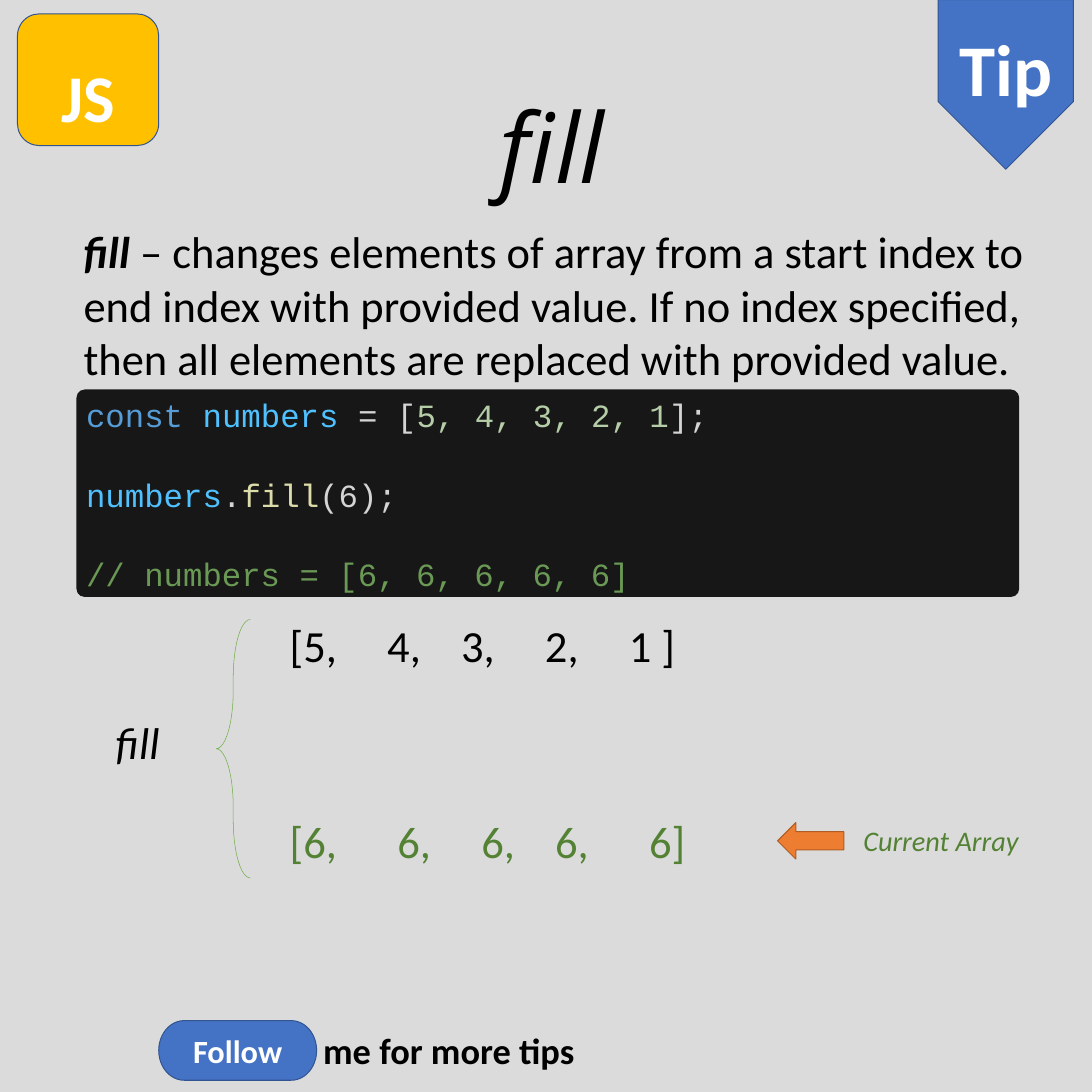
from dataclasses import dataclass, field
from typing import Any

from lxml.etree import SubElement
from pptx import Presentation
from pptx.dml.color import RGBColor
from pptx.enum.shapes import MSO_SHAPE
from pptx.enum.text import MSO_ANCHOR, MSO_AUTO_SIZE, PP_ALIGN
from pptx.oxml.ns import qn
from pptx.util import Pt

BACKGROUND = RGBColor(0xDB, 0xDB, 0xDB)
BLACK = RGBColor(0x00, 0x00, 0x00)
WHITE = RGBColor(0xFF, 0xFF, 0xFF)
BLUE = RGBColor(0x44, 0x72, 0xC4)
DARK_BLUE = RGBColor(0x32, 0x54, 0x91)
YELLOW = RGBColor(0xFF, 0xC0, 0x00)
ORANGE = RGBColor(0xED, 0x7D, 0x31)
BROWN = RGBColor(0xAF, 0x5C, 0x24)
GREEN = RGBColor(0x70, 0xAD, 0x47)
DARK_GREEN = RGBColor(0x54, 0x82, 0x35)
CODE_BACK = RGBColor(0x18, 0x17, 0x17)
KEYWORD = RGBColor(0x56, 0x9C, 0xD6)
VARIABLE = RGBColor(0x4F, 0xC1, 0xFF)
PLAIN = RGBColor(0xD4, 0xD4, 0xD4)
NUMBER = RGBColor(0xB5, 0xCE, 0xA8)
FUNCTION = RGBColor(0xDC, 0xDC, 0xAA)
COMMENT = RGBColor(0x6A, 0x99, 0x55)

Box = tuple[float, float, float, float]


@dataclass
class Run:
    text: str
    size: float
    color: RGBColor = BLACK
    font: dict[str, Any] = field(default_factory=dict)


@dataclass
class Label:
    box: Box
    runs: list[Run]
    tabs: tuple[float, ...] = ()
    wrap: bool = True


@dataclass
class Figure:
    kind: MSO_SHAPE
    box: Box
    fill: RGBColor | None
    line: RGBColor | None = None
    width: float = 1
    adjustments: tuple[float, ...] = ()
    run: Run | None = None
    anchor: MSO_ANCHOR = MSO_ANCHOR.MIDDLE


def code(text: str, color: RGBColor) -> Run:
    return Run(text, 32, color, {"name": "Courier New"})


def add_runs(p, runs: list[Run]) -> None:
    for run in runs:
        r = p.add_run()
        r.text = run.text
        r.font.color.rgb = run.color
        formats = {"name": "Calibri", "size": Pt(run.size), "bold": False, "italic": False}
        for name, value in (formats | run.font).items():
            setattr(r.font, name, value)


def add_tabs(p, stops: tuple[float, ...]) -> None:
    tab_list = SubElement(p._p.get_or_add_pPr(), qn("a:tabLst"))
    for stop in stops:
        SubElement(tab_list, qn("a:tab"), pos=str(Pt(stop)), algn="l")


def add_label(s, label: Label) -> None:
    tf = s.shapes.add_textbox(*map(Pt, label.box)).text_frame
    tf.word_wrap = label.wrap
    p = tf.paragraphs[0]
    if label.tabs:
        add_tabs(p, label.tabs)
    add_runs(p, label.runs)


def add_figure(s, figure: Figure):
    sp = s.shapes.add_shape(figure.kind, *map(Pt, figure.box))
    sp.shadow.inherit = False
    for i, value in enumerate(figure.adjustments):
        sp.adjustments[i] = value
    if figure.fill is None:
        sp.fill.background()
    else:
        sp.fill.solid()
        sp.fill.fore_color.rgb = figure.fill
    if figure.line is None:
        sp.line.fill.background()
    else:
        sp.line.color.rgb = figure.line
        sp.line.width = Pt(figure.width)
    if figure.run:
        tf = sp.text_frame
        tf.vertical_anchor = figure.anchor
        tf.paragraphs[0].alignment = PP_ALIGN.CENTER
        add_runs(tf.paragraphs[0], [figure.run])
    return sp


BOLD = {"bold": True}
ITALIC = {"italic": True}

TIP = Figure(MSO_SHAPE.PENTAGON, (910.8, 16.5, 167.8, 134), BLUE, DARK_BLUE,
             run=Run("Tip", 72, WHITE, BOLD))
CODE_PANEL = Figure(MSO_SHAPE.ROUNDED_RECTANGLE, (75.6, 385.2, 932.4, 205.2), CODE_BACK,
                    adjustments=(0.04,))
FIGURES = [
    Figure(MSO_SHAPE.FLOWCHART_TERMINATOR, (157, 1009.4, 156.2, 59), BLUE, DARK_BLUE,
           run=Run("Follow", 32, WHITE, BOLD)),
    Figure(MSO_SHAPE.ROUNDED_RECTANGLE, (17.3, 13.7, 139.7, 130.3), YELLOW, DARK_BLUE,
           run=Run("JS", 66, WHITE, BOLD), anchor=MSO_ANCHOR.BOTTOM),
    Figure(MSO_SHAPE.LEFT_BRACE, (213.8, 612.7, 33.8, 255.6), None, GREEN, 0.5, (1.7, 0.5)),
    Figure(MSO_SHAPE.LEFT_ARROW, (769, 813.6, 65.5, 36), ORANGE, BROWN),
]
LABELS = [
    Label((75.6, 218.2, 987, 167), [
        Run("fill", 44, font=BOLD | ITALIC),
        Run(" – changes elements of array from a start index to end index with provided value. "
            "If no index specified, then all elements are replaced with provided value.", 44)]),
    Label((107.3, 703.4, 243.4, 60.5), [Run("fill", 44, font=ITALIC)]),
    Label((279.4, 607.7, 511, 60.5), [Run("[5,\t4,\t3,\t2,\t1 ]", 44)],
          tabs=(96.5, 169.5, 252.5, 335.5)),
    Label((279.4, 801.4, 510, 60.5), [Run("[6,\t6,\t6,\t6,\t6]", 44, DARK_GREEN)],
          tabs=(106.5, 189.5, 262.5, 355.5)),
    Label((846.7, 810.7, 189.4, 41), [Run("Current Array", 28, DARK_GREEN, ITALIC)]),
    Label((312.5, 1013, 265.7, 51), [Run("me for more tips", 36, font=BOLD)], wrap=False),
]
CODE_LINES = [
    [code("const ", KEYWORD), code("numbers", VARIABLE), code(" = [", PLAIN),
     code("5, 4, 3, 2, 1", NUMBER), code("];", PLAIN)],
    [code("numbers", VARIABLE), code(".", PLAIN), code("fill", FUNCTION), code("(6);", PLAIN)],
    [code("// numbers = [6, 6, 6, 6, 6]", COMMENT)],
]


def main() -> None:
    prs = Presentation()
    prs.slide_width = prs.slide_height = Pt(1080)
    s = prs.slides.add_slide(prs.slide_layouts[5])
    s.background.fill.solid()
    s.background.fill.fore_color.rgb = BACKGROUND

    # Title
    title = s.shapes.title
    title.left, title.top, title.width, title.height = map(Pt, (169.2, 81.4, 753.8, 123.8))
    tf = title.text_frame
    tf.auto_size = MSO_AUTO_SIZE.NONE
    tf.vertical_anchor = MSO_ANCHOR.TOP
    tf.paragraphs[0].alignment = PP_ALIGN.CENTER
    add_runs(tf.paragraphs[0], [Run("fill", 96, font=ITALIC | {"name": "Open Sans"})])

    # Tip ribbon, pointing down with upright text
    ribbon = add_figure(s, TIP)
    ribbon.rotation = 90
    ribbon.text_frame._txBody.bodyPr.set("vert", "vert270")

    # Code panel
    tf = add_figure(s, CODE_PANEL).text_frame
    tf.vertical_anchor = MSO_ANCHOR.TOP
    for i, runs in enumerate(CODE_LINES):
        p = tf.add_paragraph() if i else tf.paragraphs[0]
        p.alignment = PP_ALIGN.LEFT
        p.space_before = Pt(40 if i else 0)
        add_runs(p, runs)

    # Badges, brace, arrow and texts
    for figure in FIGURES:
        add_figure(s, figure)
    for label in LABELS:
        add_label(s, label)

    prs.save("out.pptx")


if __name__ == "__main__":
    main()
